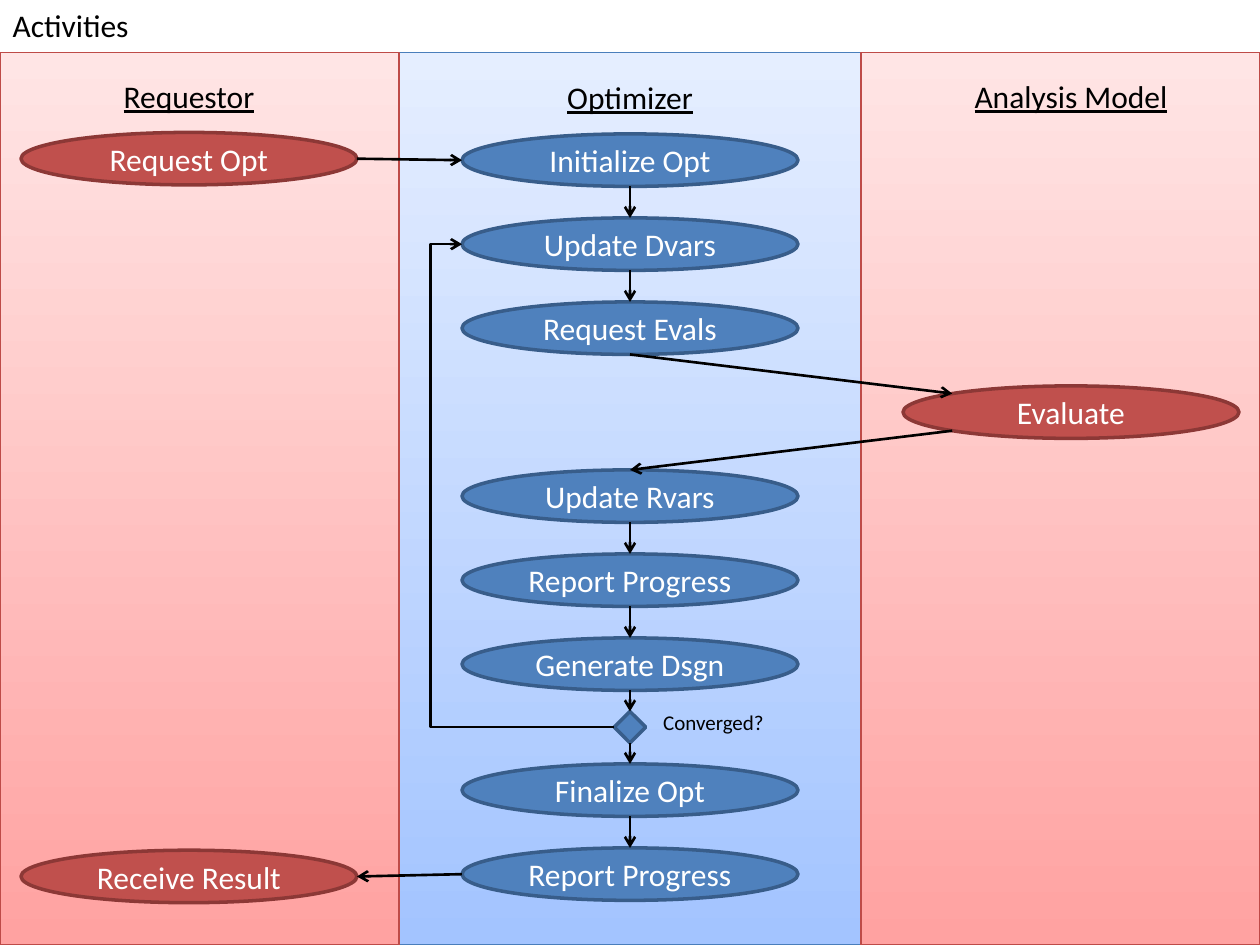
from math import sqrt

from lxml.etree import SubElement
from pptx import Presentation
from pptx.dml.color import RGBColor
from pptx.enum.shapes import MSO_CONNECTOR, MSO_SHAPE
from pptx.enum.text import MSO_ANCHOR, MSO_AUTO_SIZE, PP_ALIGN
from pptx.oxml.ns import qn
from pptx.util import Cm, Pt

UNIT = 25.4 / 60  # the slide is 60 units wide
ROW = 4 * UNIT
OVAL_WIDTH, OVAL_HEIGHT = 16 * UNIT, 2.5 * UNIT
FIRST_ROW = 2.7
LANE_TOP = 1.06
SLIDE_WIDTH, SLIDE_HEIGHT = 25.4, 19.05
LEFT, MIDDLE, RIGHT = 3.81, 12.7, 21.59  # centres of the three columns
BLUE, BLUE_EDGE = "4F81BD", "385D8A"
RED, RED_EDGE = "C0504D", "8C3836"


def color(value):
    return RGBColor.from_string(value)


def write(shape, text, size=18, ink="000000", align=PP_ALIGN.LEFT,
          anchor=MSO_ANCHOR.TOP, underline=False):
    frame = shape.text_frame
    frame.word_wrap = True
    frame.auto_size = MSO_AUTO_SIZE.NONE
    frame.vertical_anchor = anchor
    para = frame.paragraphs[0]
    para.alignment = align
    span = para.add_run()
    span.text = text
    span.font.name = "Calibri"
    span.font.size = Pt(size)
    span.font.underline = underline
    span.font.color.rgb = color(ink)


deck = Presentation()
deck.slide_width, deck.slide_height = Cm(SLIDE_WIDTH), Cm(SLIDE_HEIGHT)
page = deck.slides.add_slide(deck.slide_layouts[5])
shapes = page.shapes

title = shapes.title
title.left, title.top, title.width, title.height = Cm(0), Cm(0), Cm(7.62), Cm(1.02)
write(title, "Activities")

# Swim lanes: left and width in units, heading, its centre and top, colours
lanes = [
    (19, 22, "Optimizer", MIDDLE, 1.45, "A3C4FF", "E5EEFF", "4A7EBB"),
    (41, 19, "Analysis Model", RIGHT, 1.42, "FFA2A1", "FFE5E5", "BE4B48"),
    (0, 19, "Requestor", LEFT, 1.42, "FFA2A1", "FFE5E5", "BE4B48"),
]
for left, width, heading, centre, top, dark, light, edge in lanes:
    lane = shapes.add_shape(MSO_SHAPE.RECTANGLE, Cm(left * UNIT), Cm(LANE_TOP),
                            Cm(width * UNIT), Cm(SLIDE_HEIGHT - LANE_TOP))
    lane.shadow.inherit = False
    lane.fill.gradient()
    lane.fill.gradient_angle = 90
    for stop, shade in zip(lane.fill.gradient_stops, (dark, light)):
        stop.color.rgb = color(shade)
    lane.line.color.rgb = color(edge)
    lane.line.width = Pt(0.75)
    box = shapes.add_textbox(Cm(centre - 11 * UNIT / 2), Cm(top), Cm(11 * UNIT), Cm(1.02))
    write(box, heading, align=PP_ALIGN.CENTER, underline=True)

# Activities: text, column centre, top
activities = [
    (text, MIDDLE, FIRST_ROW + row * ROW)
    for text, row in [
        ("Initialize Opt", 0), ("Update Dvars", 1), ("Request Evals", 2),
        ("Update Rvars", 4), ("Report Progress", 5), ("Generate Dsgn", 6),
        ("Finalize Opt", 7.5), ("Report Progress", 8.5),
    ]
] + [
    ("Request Opt", LEFT, 2.67),
    ("Receive Result", LEFT, 17.14),
    ("Evaluate", RIGHT, FIRST_ROW + 3 * ROW),
]
for text, centre, top in activities:
    oval = shapes.add_shape(MSO_SHAPE.OVAL, Cm(centre - OVAL_WIDTH / 2), Cm(top),
                            Cm(OVAL_WIDTH), Cm(OVAL_HEIGHT))
    oval.shadow.inherit = False
    oval.fill.solid()
    oval.fill.fore_color.rgb = color(BLUE if centre == MIDDLE else RED)
    oval.line.color.rgb = color(BLUE_EDGE if centre == MIDDLE else RED_EDGE)
    oval.line.width = Pt(2)
    write(oval, text, ink="FFFFFF", align=PP_ALIGN.CENTER, anchor=MSO_ANCHOR.MIDDLE)

DIAMOND = 1.5 * UNIT
diamond_top = FIRST_ROW + 6 * ROW + OVAL_HEIGHT + UNIT
diamond_middle = diamond_top + DIAMOND / 2
decision = shapes.add_shape(MSO_SHAPE.DIAMOND, Cm(MIDDLE - DIAMOND / 2), Cm(diamond_top),
                            Cm(DIAMOND), Cm(DIAMOND))
decision.shadow.inherit = False
decision.fill.solid()
decision.fill.fore_color.rgb = color(BLUE)
decision.line.color.rgb = color(BLUE_EDGE)
decision.line.width = Pt(2)
box = shapes.add_textbox(Cm(13.12), Cm(14.18), Cm(2.75), Cm(0.77))
write(box, "Converged?", size=12)

# Arrows: start x, start y, end x, end y
arrows = [
    (MIDDLE, FIRST_ROW + row * ROW + OVAL_HEIGHT, MIDDLE, FIRST_ROW + (row + 1) * ROW)
    for row in (0, 1, 4, 5, 7.5)
]
half = OVAL_HEIGHT / 2
evaluate_x = RIGHT - OVAL_WIDTH / 2 / sqrt(2)
evaluate_y = FIRST_ROW + 3 * ROW + half
rise = half / sqrt(2)
left_edge, middle_edge = LEFT + OVAL_WIDTH / 2, MIDDLE - OVAL_WIDTH / 2
arrows += [
    (left_edge, 2.67 + half, middle_edge, FIRST_ROW + half),
    (middle_edge, FIRST_ROW + 8.5 * ROW + half, left_edge, 17.14 + half),
    (MIDDLE, FIRST_ROW + 2 * ROW + OVAL_HEIGHT, evaluate_x, evaluate_y - rise),
    (evaluate_x, evaluate_y + rise, MIDDLE, FIRST_ROW + 4 * ROW),
]
connectors = [
    shapes.add_connector(MSO_CONNECTOR.STRAIGHT, *map(Cm, ends)) for ends in arrows
]

into_decision = shapes.add_connector(
    MSO_CONNECTOR.STRAIGHT, Cm(MIDDLE), Cm(diamond_top - UNIT), Cm(MIDDLE), Cm(diamond_top))
into_decision.end_connect(decision, 0)
out_of_decision = shapes.add_connector(
    MSO_CONNECTOR.STRAIGHT, Cm(MIDDLE), Cm(diamond_top + DIAMOND),
    Cm(MIDDLE), Cm(FIRST_ROW + 7.5 * ROW))
out_of_decision.begin_connect(decision, 2)

# The loop back is turned by half a circle, so it starts at the decision
loop_back = shapes.add_connector(
    MSO_CONNECTOR.ELBOW, Cm(middle_edge), Cm(FIRST_ROW + ROW + half),
    Cm(MIDDLE - DIAMOND / 2), Cm(diamond_middle))
properties = loop_back._element.spPr
properties.find(qn("a:xfrm")).set("rot", "10800000")
guides = properties.find(qn("a:prstGeom")).find(qn("a:avLst"))
SubElement(guides, qn("a:gd"), name="adj1", fmla="val 120700")

for connector in connectors + [into_decision, out_of_decision, loop_back]:
    connector.line.color.rgb = color("000000")
    connector.line.width = Pt(1.5)
    SubElement(connector.line._get_or_add_ln(), qn("a:tailEnd"), type="arrow")
    SubElement(connector._element.spPr, qn("a:effectLst"))

deck.save("out.pptx")
